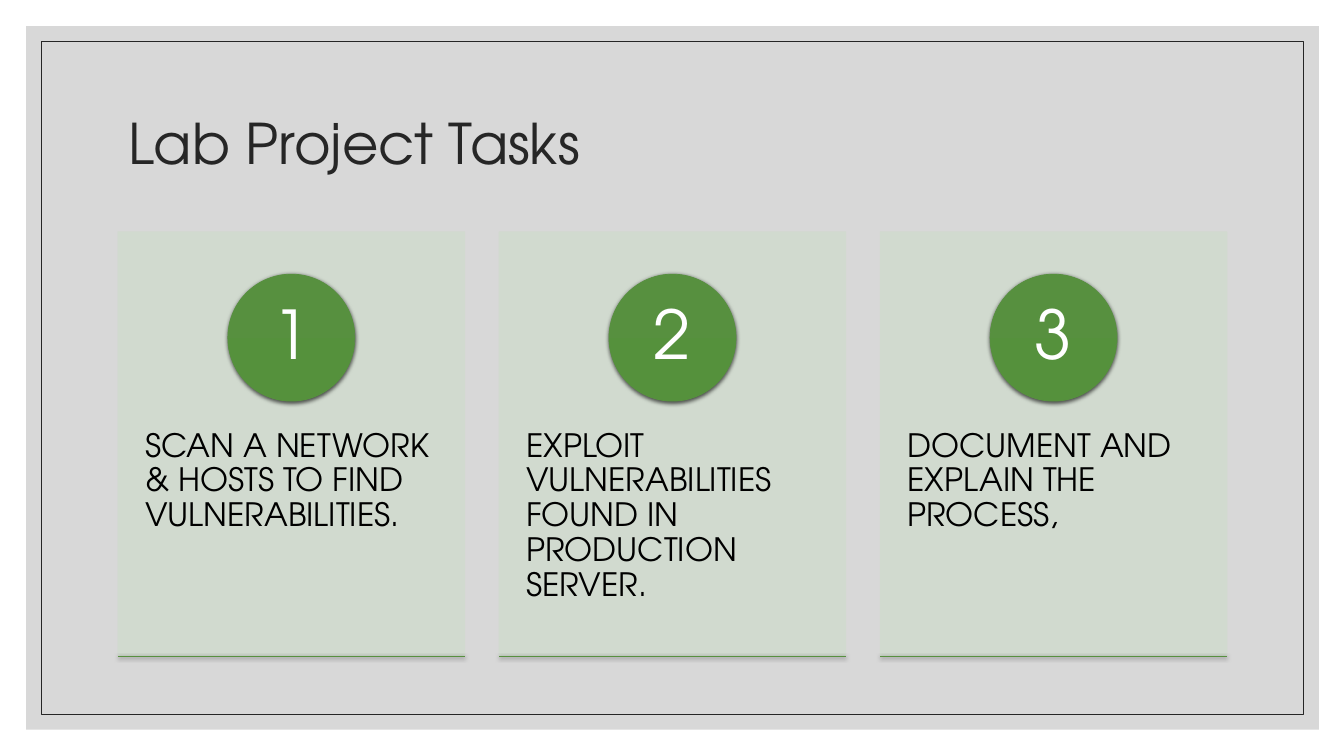
from pptx import Presentation
from pptx import util as u
from pptx.dml.color import RGBColor
from pptx.enum import shapes, text
from pptx.oxml import parse_xml
from pptx.oxml.ns import nsdecls, qn

PX = 9144
FONT = "TeX Gyre Adventor"
GREEN, DEEP_GREEN, PALE_GREEN = "57903F", "55913C", "D1DBCF"
DARK, GREY, BLACK, WHITE = "262626", "BFBFBF", "000000", "FFFFFF"
TASKS = [
    "SCAN A NETWORK & HOSTS TO FIND VULNERABILITIES.",
    "EXPLOIT VULNERABILITIES FOUND IN PRODUCTION SERVER.",
    "DOCUMENT AND EXPLAIN THE PROCESS,",
]
CARD_LEFT, CARD_TOP, CARD_WIDTH, CARD_HEIGHT = 117, 230, 344, 421
CARD_PITCH = 378
BADGE_SIZE = 126


def px(*lengths):
    return [u.Emu(length * PX) for length in lengths]


def color(value):
    return RGBColor.from_string(value)


def apply_format(target, values):
    for name, value in values.items():
        setattr(target, name, value)


def set_alpha(shape, percent):
    for tone in shape.element.spPr.iter(qn("a:srgbClr")):
        tone.append(parse_xml(f'<a:alpha {nsdecls("a")} val="{percent * 1000}"/>'))


def set_shadow(shape):
    shape.element.spPr.append(parse_xml(
        f'<a:effectLst {nsdecls("a")}>'
        '<a:outerShdw blurRad="38100" dist="12700" dir="5400000" rotWithShape="0">'
        '<a:srgbClr val="000000"><a:alpha val="63000"/></a:srgbClr>'
        '</a:outerShdw></a:effectLst>'))


def set_line(line, tone):
    line.color.rgb = color(tone)
    line.width = u.Pt(0.5)


def write(frame, words, size, tone, align, anchor, margins, space_after=0):
    left, top, right, bottom = px(*margins)
    apply_format(frame, {
        "word_wrap": True, "auto_size": text.MSO_AUTO_SIZE.NONE,
        "vertical_anchor": anchor, "margin_left": left, "margin_top": top,
        "margin_right": right, "margin_bottom": bottom,
    })
    frame.text = words
    paragraph = frame.paragraphs[0]
    apply_format(paragraph, {"alignment": align, "line_spacing": 0.9,
                             "space_after": u.Pt(space_after)})
    font = paragraph.runs[0].font
    apply_format(font, {"name": FONT, "size": u.Pt(size)})
    font.color.rgb = color(tone)


def add_panel(slide, box, fill=None, line=None, alpha=100):
    panel = slide.shapes.add_shape(shapes.MSO_SHAPE.RECTANGLE, *px(*box))
    if fill:
        panel.fill.solid()
        panel.fill.fore_color.rgb = color(fill)
    else:
        panel.fill.background()
    if line:
        set_line(panel.line, line)
    else:
        panel.line.fill.background()
    panel.shadow.inherit = False
    if alpha < 100:
        set_alpha(panel, alpha)


def add_title(slide, words):
    title = slide.shapes.title
    left, top, width, height = px(117, 70, 1100, 150)
    apply_format(title, {"left": left, "top": top, "width": width, "height": height})
    write(title.text_frame, words, 40, DARK, text.PP_ALIGN.LEFT,
          text.MSO_ANCHOR.MIDDLE, (10, 5, 10, 5))
    slide.shapes.element.append(title.element)


def add_badge(slide, left, top, number):
    badge = slide.shapes.add_shape(
        shapes.MSO_SHAPE.OVAL, *px(left, top, BADGE_SIZE, BADGE_SIZE))
    badge.fill.gradient()
    badge.fill.gradient_angle = 270
    for stop, tone in zip(badge.fill.gradient_stops, (GREEN, DEEP_GREEN)):
        stop.color.rgb = color(tone)
    set_line(badge.line, GREEN)
    set_shadow(badge)
    write(badge.text_frame, str(number), 48, WHITE, text.PP_ALIGN.CENTER,
          text.MSO_ANCHOR.MIDDLE, (10, 1, 10, 1))


def add_baseline(slide, left, top):
    baseline = slide.shapes.add_connector(
        shapes.MSO_CONNECTOR.STRAIGHT, *px(left, top, left + CARD_WIDTH, top))
    set_line(baseline.line, GREEN)
    set_shadow(baseline)


def add_task(slide, left, number, words):
    add_panel(slide, (left, CARD_TOP, CARD_WIDTH, CARD_HEIGHT),
              PALE_GREEN, PALE_GREEN, 90)
    task = slide.shapes.add_textbox(*px(left, CARD_TOP + 160, CARD_WIDTH, 253))
    write(task.text_frame, words, 23, BLACK, text.PP_ALIGN.LEFT,
          text.MSO_ANCHOR.TOP, (27, 36, 27, 36), 8)
    add_badge(slide, left + (CARD_WIDTH - BADGE_SIZE) // 2, CARD_TOP + 42, number)
    add_baseline(slide, left, CARD_TOP + CARD_HEIGHT)


def main():
    deck = Presentation()
    deck.slide_width, deck.slide_height = px(1333, 750)
    slide = deck.slides.add_slide(deck.slide_layouts[5])
    add_panel(slide, (26, 26, 1282, 698), fill=GREY, alpha=60)
    add_panel(slide, (41, 41, 1252, 668), line=DARK)
    add_title(slide, "Lab Project Tasks")
    for index, words in enumerate(TASKS):
        add_task(slide, CARD_LEFT + index * CARD_PITCH, index + 1, words)
    deck.save("out.pptx")


if __name__ == "__main__":
    main()
